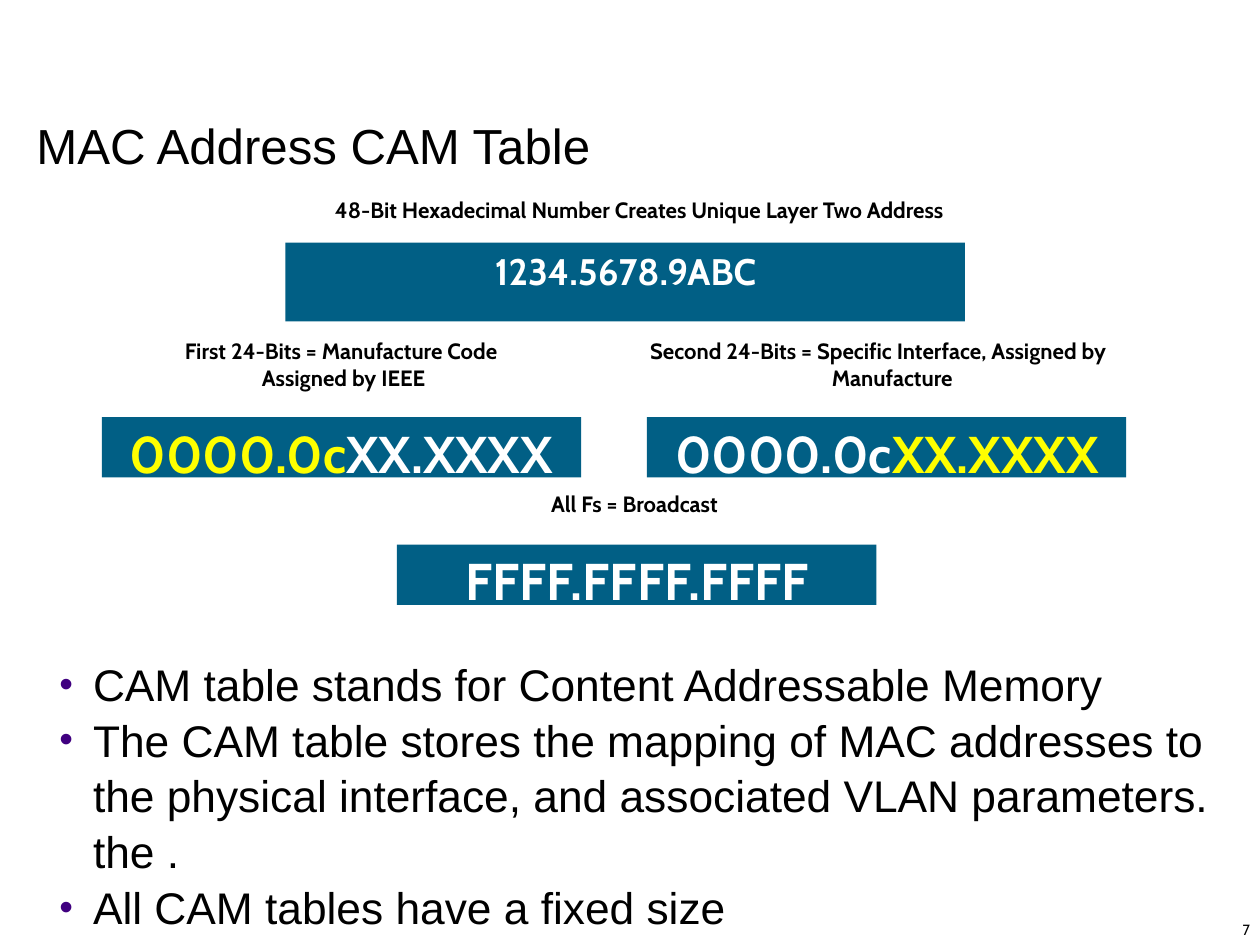
from lxml import etree
from pptx import Presentation
from pptx.dml.color import RGBColor
from pptx.enum.shapes import MSO_SHAPE
from pptx.enum.text import MSO_ANCHOR, MSO_AUTO_SIZE, PP_ALIGN
from pptx.oxml.ns import qn
from pptx.util import Inches, Pt

BLACK = RGBColor(0x00, 0x00, 0x00)
WHITE = RGBColor(0xFF, 0xFF, 0xFF)
YELLOW = RGBColor(0xFF, 0xFF, 0x00)
TEAL = RGBColor(0x01, 0x5F, 0x85)
BULLET_COLOR = "400080"
RECTANGLE = MSO_SHAPE.RECTANGLE
LEFT, CENTER = PP_ALIGN.LEFT, PP_ALIGN.CENTER
TOP, BOTTOM = MSO_ANCHOR.TOP, MSO_ANCHOR.BOTTOM
NO_FIT, GROW = MSO_AUTO_SIZE.NONE, MSO_AUTO_SIZE.SHAPE_TO_FIT_TEXT


def add_run(paragraph, text, name, size, color, bold=False):
    run = paragraph.add_run()
    run.text = text
    font_format = {"name": name, "size": Pt(size), "bold": bold}
    for attribute, value in font_format.items():
        setattr(run.font, attribute, value)
    run.font.color.rgb = color


def set_indent(paragraph, indent):
    properties = paragraph._p.get_or_add_pPr()
    properties.set("marL", str(Inches(indent)))
    properties.set("indent", str(-Inches(indent)))
    return properties


presentation = Presentation()
presentation.slide_width = Inches(14.22)
presentation.slide_height = Inches(10.67)
slide = presentation.slides.add_slide(presentation.slide_layouts[1])
title, body = slide.shapes.title, slide.placeholders[1]

# Title and body frames
for placeholder, box, anchor in [
    (title, (0.35, 0, 13.54, 2.03), BOTTOM),
    (body, (0.61, 7.33, 13.26, 2.43), TOP),
]:
    placeholder.left, placeholder.top, placeholder.width, placeholder.height = map(Inches, box)
    frame_format = {"vertical_anchor": anchor, "auto_size": NO_FIT, "word_wrap": True}
    for side in ("left", "top", "right", "bottom"):
        frame_format["margin_" + side] = Inches(0.06)
    for attribute, value in frame_format.items():
        setattr(placeholder.text_frame, attribute, value)

title_paragraph = title.text_frame.paragraphs[0]
title_paragraph.alignment = LEFT
add_run(title_paragraph, "MAC Address CAM Table", "Arial", 40, BLACK)

# Bulleted list
bullets = [
    "CAM table stands for Content Addressable Memory",
    "The CAM table stores the mapping of MAC addresses to the physical interface, "
    "and associated VLAN parameters. the .",
    "All CAM tables have a fixed size",
]
for index, text in enumerate(bullets):
    frame = body.text_frame
    paragraph = frame.add_paragraph() if index else frame.paragraphs[0]
    paragraph_format = {"space_before": Pt(0), "space_after": Pt(0), "line_spacing": 1.05}
    for attribute, value in paragraph_format.items():
        setattr(paragraph, attribute, value)
    properties = set_indent(paragraph, 0.38)
    bullet_color = etree.SubElement(properties, qn("a:buClr"))
    etree.SubElement(bullet_color, qn("a:srgbClr"), val=BULLET_COLOR)
    etree.SubElement(properties, qn("a:buSzPct"), val="88000")
    etree.SubElement(properties, qn("a:buFont"), typeface="Arial")
    etree.SubElement(properties, qn("a:buChar"), char="•")
    add_run(paragraph, text, "Arial", 36, BLACK)

# Address bars
diagram = slide.shapes.add_group_shape()
for box in [
    (3.22, 2.74, 7.67, 0.89),
    (1.15, 4.71, 5.41, 0.68),
    (7.3, 4.71, 5.41, 0.68),
    (4.48, 6.15, 5.41, 0.68),
]:
    bar = diagram.shapes.add_shape(RECTANGLE, *map(Inches, box))
    bar.shadow.inherit = False
    bar.fill.solid()
    bar.fill.fore_color.rgb = TEAL
    bar.line.fill.background()

# Captions and addresses: box, size, then paragraphs of (text, color) runs
labels = [
    ((1.95, 2.17, 10.53, 0.4), 18,
     [[("48-Bit Hexadecimal Number Creates Unique Layer Two Address", BLACK)]]),
    ((3.27, 2.76, 7.58, 0.61), 30, [[("1234.5678.9ABC", WHITE)]]),
    ((1.05, 3.76, 5.6, 0.71), 18,
     [[("First 24-Bits = Manufacture Code", BLACK)], [(" Assigned by IEEE", BLACK)]]),
    ((6.63, 3.76, 6.56, 0.71), 18,
     [[("Second 24-Bits = Specific Interface, Assigned by Manufacture", BLACK)]]),
    ((0.94, 4.71, 5.82, 0.81), 42, [[("0000.0c", YELLOW), ("XX.XXXX", WHITE)]]),
    ((7.1, 4.71, 5.82, 0.81), 42, [[("0000.0c", WHITE), ("XX.XXXX", YELLOW)]]),
    ((4.7, 5.49, 4.92, 0.4), 18, [[("All Fs = Broadcast", BLACK)]]),
    ((4.28, 6.15, 5.82, 0.81), 42, [[("FFFF.FFFF.FFFF", WHITE)]]),
]
for box, size, paragraphs in labels:
    frame = diagram.shapes.add_textbox(*map(Inches, box)).text_frame
    frame.word_wrap = True
    frame.auto_size = GROW
    for index, runs in enumerate(paragraphs):
        paragraph = frame.add_paragraph() if index else frame.paragraphs[0]
        paragraph.alignment = CENTER
        set_indent(paragraph, 0.32)
        for text, color in runs:
            add_run(paragraph, text, "Cabin", size, color, bold=True)

# Slide number
number_box = slide.shapes.add_textbox(Inches(13.92), Inches(10.35), Inches(0.29), Inches(0.31))
number_box.text_frame.word_wrap = False
number_paragraph = number_box.text_frame.paragraphs[0]
number_paragraph.alignment = CENTER
add_run(number_paragraph, "7", "Cabin", 12, BLACK)

presentation.save("out.pptx")
